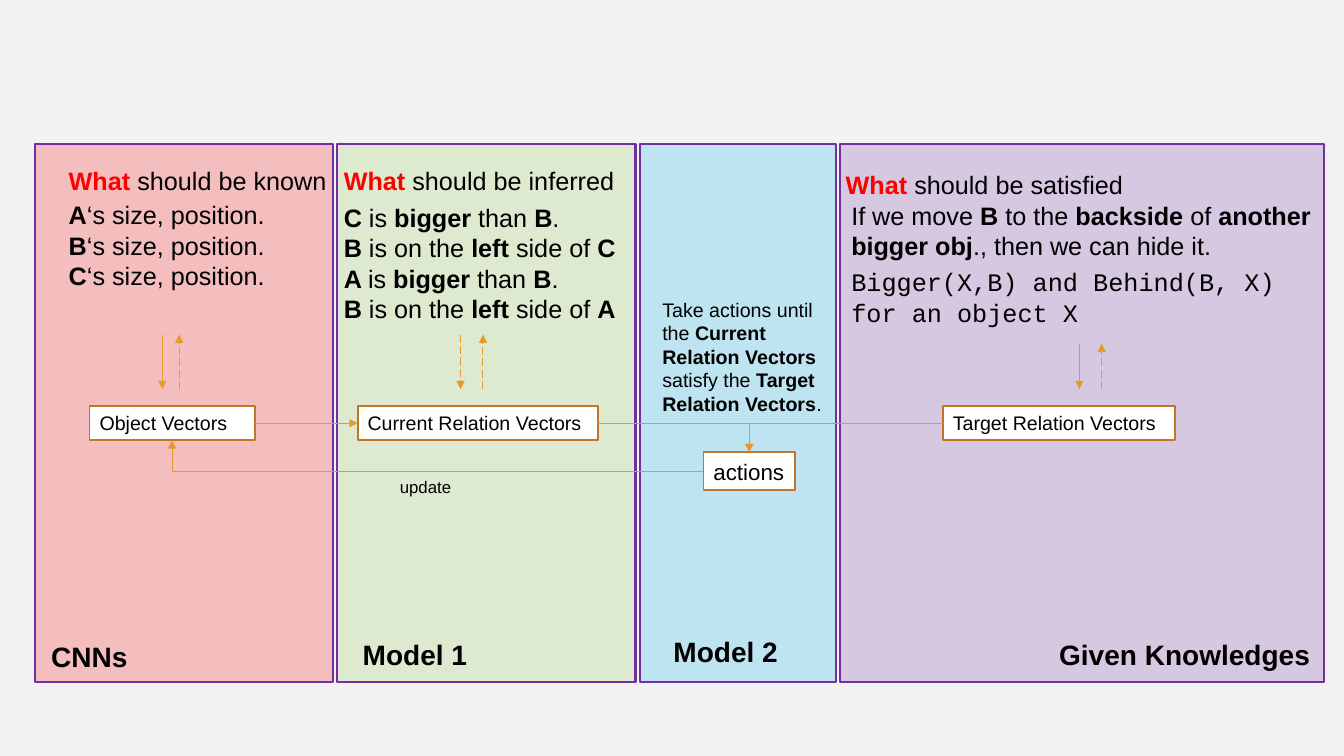
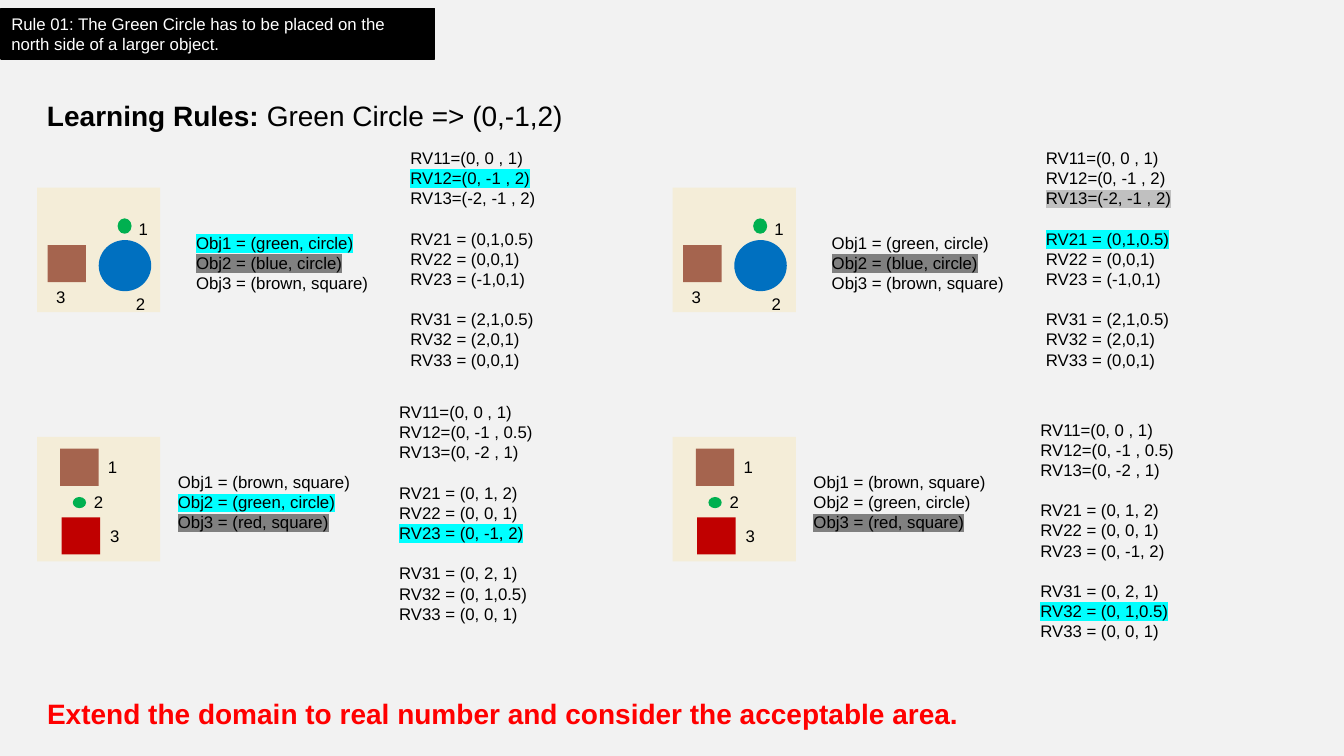
from itertools import product

from lxml import etree
from pptx import Presentation
from pptx.dml.color import RGBColor
from pptx.enum.dml import MSO_LINE
from pptx.enum.shapes import MSO_CONNECTOR, MSO_SHAPE
from pptx.enum.text import MSO_ANCHOR, PP_ALIGN
from pptx.oxml.ns import qn
from pptx.util import Pt

RECTANGLE, ELLIPSE = MSO_SHAPE.RECTANGLE, MSO_SHAPE.OVAL
STRAIGHT, ELBOW = MSO_CONNECTOR.STRAIGHT, MSO_CONNECTOR.ELBOW
LONG_DASH = MSO_LINE.LONG_DASH
LEFT, MIDDLE = PP_ALIGN.LEFT, MSO_ANCHOR.MIDDLE
TOP_SIDE, LEFT_SIDE, BOTTOM_SIDE, RIGHT_SIDE = range(4)

FONT, CODE_FONT = "Arial", "Courier New"
BLACK, WHITE, RED, BACKGROUND = "000000", "FFFFFF", "FF0000", "F2F2F2"
PURPLE, BOX_LINE, ARROW = "7030A0", "C17529", "E59B2C"
TILE, BROWN, BLUE, GREEN, DARK_RED = "F4EDD8", "A5644E", "0070C0", "00B050", "C00000"
CYAN, GRAY, SILVER = "00FFFF", "808080", "C0C0C0"

COLUMN_STEP = 454
GROUP_GAP = 14.4

PANELS = [  # width, colour
    (213, "FF0000"), (213, "92D050"), (140, "00B0F0"), (345.5, "7030A0"),
]
PANEL_NAMES = [  # name, left, top
    ("CNNs", 29.5, 453), ("Model 1", 252, 451.5),
    ("Model 2", 474, 450), ("Given Knowledges", 749.5, 451.5),
]
QUESTIONS = [  # text, left, top, width
    ("*What *should be known", 42, 114.5, 218),
    ("*What *should be inferred", 238.5, 114.5, 240),
    ("*What* should be satisfied", 597, 117.5, 284),
]
ANSWERS = [  # lines, left, top, width, font
    (["*A*‘s size, position.", "*B*‘s size, position.", "*C*‘s size, position."],
     42, 139, 218, FONT),
    (["*C *is* bigger* than *B*.", "*B* is on the *left* side of *C*",
      "*A *is* bigger* than *B*.", "*B* is on the *left* side of *A*"],
     238.5, 141, 252, FONT),
    (["If we move *B* to the *backside* of *another bigger obj*., then we can hide it."],
     601, 139.5, 344, FONT),
    (["Bigger(X,B) and Behind(B, X)", "for an object X"], 601, 187, 344, CODE_FONT),
]
VERTICAL_ARROWS = [  # x, from y, to y, dashed
    (116, 239, 278, False), (128, 278, 239, True),
    (329, 239, 278, True), (345, 278, 239, True),
    (771, 245.5, 278, False), (787, 278, 245.5, True),
]

NORTH_SCENE = {
    "figures": [
        (RECTANGLE, 26.5, 134, 88, 89, TILE),
        (RECTANGLE, 34, 175, 27.5, 26.5, BROWN),
        (ELLIPSE, 70.5, 171.5, 37.5, 36.5, BLUE),
        (ELLIPSE, 84, 156, 10, 11, GREEN),
    ],
    "numbers": [(92, 152.5), (90, 206), (33, 201)],
    "objects": ["(green, circle)", "(blue, circle)", "(brown, square)"],
    "objects_at": (133, 162.5),
    "relations": ["=(0, 0 , 1)", "=(0, -1 , 2)", "=(-2, -1 , 2)",
                  " = (0,1,0.5)", " = (0,0,1)", " = (-1,0,1)",
                  " = (2,1,0.5)", " = (2,0,1)", " = (0,0,1)"],
}
STACK_SCENE = {
    "figures": [
        (RECTANGLE, 26.5, 312, 88, 89, TILE),
        (RECTANGLE, 43, 320.5, 27.5, 26.5, BROWN),
        (RECTANGLE, 44, 369.5, 27.5, 26.5, DARK_RED),
        (ELLIPSE, 52, 355, 9.5, 8, GREEN),
    ],
    "numbers": [(70, 322.5), (60, 348), (71.5, 372)],
    "objects": ["(brown, square)", "(green, circle)", "(red, square)"],
    "objects_at": (120, 333.5),
    "relations": ["=(0, 0 , 1)", "=(0, -1 , 0.5)", "=(0, -2 , 1)",
                  " = (0, 1, 2)", " = (0, 0, 1)", " = (0, -1, 2)",
                  " = (0, 2, 1)", " = (0, 1,0.5)", " = (0, 0, 1)"],
}
EXAMPLES = [  # scene, column, relations place, object marks, relation marks
    (NORTH_SCENE, 0, (286, 102), {0: CYAN, 1: GRAY}, {1: CYAN}),
    (STACK_SCENE, 0, (278, 283.5), {1: CYAN, 2: GRAY}, {5: CYAN}),
    (NORTH_SCENE, 1, (286, 102), {1: GRAY}, {2: SILVER, 3: CYAN}),
    (STACK_SCENE, 1, (282, 296), {2: GRAY}, {7: CYAN}),
]


def rgb(value):
    return RGBColor.from_string(value)


def mark_run(run, color):
    """Put a highlight behind a run whose colour is already set."""
    fill = run.font._element.find(qn("a:solidFill"))
    highlight = etree.Element(qn("a:highlight"))
    etree.SubElement(highlight, qn("a:srgbClr"), val=color)
    fill.addnext(highlight)


def write(shape, lines, size, color=BLACK, bold_color=None, font=FONT,
          marks=None, group=None):
    """Write lines; asterisks switch bold, and each group starts after a gap."""
    frame = shape.text_frame
    frame.word_wrap = True
    for index, line in enumerate(lines):
        paragraph = frame.paragraphs[0] if index == 0 else frame.add_paragraph()
        paragraph.alignment = LEFT
        if group and index and index % group == 0:
            paragraph.space_before = Pt(GROUP_GAP)
        for part, text in enumerate(line.split("*")):
            if not text:
                continue
            bold = part % 2 == 1
            run = paragraph.add_run()
            run.text = text
            run.font.name = font
            run.font.size = Pt(size)
            run.font.bold = bold
            run.font.color.rgb = rgb(bold_color if bold and bold_color else color)
            if marks and index in marks:
                mark_run(run, marks[index])


def add_text(slide, left, top, width, height, lines, size, **style):
    shape = slide.shapes.add_textbox(Pt(left), Pt(top), Pt(width), Pt(height))
    write(shape, lines, size, **style)


def add_figure(slide, kind, left, top, width, height, fill, line=None,
               line_width=1.25, opacity=None):
    shape = slide.shapes.add_shape(kind, Pt(left), Pt(top), Pt(width), Pt(height))
    shape.shadow.inherit = False
    shape.fill.solid()
    shape.fill.fore_color.rgb = rgb(fill)
    if opacity:
        color = shape._element.spPr.find(qn("a:solidFill"))[0]
        etree.SubElement(color, qn("a:alpha"), val=str(opacity * 1000))
    if line:
        shape.line.color.rgb = rgb(line)
        shape.line.width = Pt(line_width)
    else:
        shape.line.fill.background()
    return shape


def add_box(slide, left, top, width, height, text, size,
            fill=WHITE, line=BOX_LINE, color=BLACK):
    shape = add_figure(slide, RECTANGLE, left, top, width, height, fill, line)
    shape.text_frame.vertical_anchor = MIDDLE
    write(shape, [text], size, color)
    return shape


def add_arrow(slide, start=(0, 0), end=(0, 0), kind=STRAIGHT, dashed=False):
    connector = slide.shapes.add_connector(kind, *map(Pt, start + end))
    connector.line.color.rgb = rgb(ARROW)
    connector.line.width = Pt(0.75)
    if dashed:
        connector.line.dash_style = LONG_DASH
    properties = connector._element.spPr
    etree.SubElement(properties.find(qn("a:ln")), qn("a:tailEnd"), type="triangle")
    etree.SubElement(properties, qn("a:effectLst"))
    return connector


def join(slide, source, source_side, target, target_side, kind=ELBOW):
    connector = add_arrow(slide, kind=kind)
    connector.begin_connect(source, source_side)
    connector.end_connect(target, target_side)
    if kind == ELBOW:  # a single corner
        connector._element.spPr.find(qn("a:prstGeom")).set("prst", "bentConnector2")


def build_model_slide(slide):
    # Panels
    left = 25
    for width, color in PANELS:
        add_figure(slide, RECTANGLE, left, 103, width, 384.5, color, PURPLE, 1.5, 21)
        left += width + 3
    for name, left, top in PANEL_NAMES:
        add_text(slide, left, top, 200, 31.5, [f"*{name}*"], 20)

    # Questions and answers
    for text, left, top, width in QUESTIONS:
        add_text(slide, left, top, width, 29, [text], 18, bold_color=RED)
    for lines, left, top, width, font in ANSWERS:
        add_text(slide, left, top, width, 73, lines, 18, font=font)
    add_text(slide, 466, 209, 134, 92,
             ["Take actions until the *Current Relation Vectors* satisfy the "
              "*Target Relation Vectors*."], 14)

    # Vector boxes and the update loop
    objects = add_box(slide, 64, 290, 118, 24.5, "Object Vectors", 14)
    current = add_box(slide, 255.5, 290, 171.5, 24.5, "Current Relation Vectors", 14)
    target = add_box(slide, 673.5, 290, 166, 24.5, "Target Relation Vectors", 14)
    actions = add_box(slide, 502.5, 323, 65.5, 27, "actions", 16)
    join(slide, objects, RIGHT_SIDE, current, LEFT_SIDE, STRAIGHT)
    join(slide, current, RIGHT_SIDE, actions, TOP_SIDE)
    join(slide, target, LEFT_SIDE, actions, TOP_SIDE)
    join(slide, actions, LEFT_SIDE, objects, BOTTOM_SIDE)
    add_text(slide, 278.5, 337, 65.5, 21.5, ["update"], 12)
    for x, start, end, dashed in VERTICAL_ARROWS:
        add_arrow(slide, (x, start), (x, end), dashed=dashed)


def add_example(slide, scene, column, relations_at, object_marks, relation_marks):
    shift = column * COLUMN_STEP
    for kind, left, top, width, height, color in scene["figures"]:
        add_figure(slide, kind, left + shift, top, width, height, color)
    for number, (left, top) in enumerate(scene["numbers"], 1):
        add_text(slide, left + shift, top, 26.5, 21.5, [str(number)], 12)

    objects = [f"Obj{number} = {value}"
               for number, value in enumerate(scene["objects"], 1)]
    left, top = scene["objects_at"]
    add_text(slide, left + shift, top, 150.5, 51, objects, 12, marks=object_marks)

    pairs = product((1, 2, 3), repeat=2)
    relations = [f"RV{first}{second}{value}"
                 for (first, second), value in zip(pairs, scene["relations"])]
    left, top = relations_at
    add_text(slide, left + shift, top, 127.5, 196.5, relations, 12,
             marks=relation_marks, group=3)


def build_rules_slide(slide):
    # Rule and heading
    add_box(slide, 1, 6, 309.5, 36,
            "Rule 01: The Green Circle has to be placed on the north side of a "
            "larger object.", 12, BLACK, BLACK, WHITE)
    add_text(slide, 26.5, 67, 473, 31.5,
             ["*Learning Rules: *Green Circle => (0,-1,2)"], 20)

    # Examples
    for example in EXAMPLES:
        add_example(slide, *example)

    # Conclusion
    add_text(slide, 26.5, 494, 718, 31.5,
             ["*Extend the domain to real number and consider the acceptable area.*"],
             20, bold_color=RED)


def main():
    presentation = Presentation()
    presentation.slide_width, presentation.slide_height = Pt(960), Pt(540)
    background = presentation.slide_master.background.fill
    background.solid()
    background.fore_color.rgb = rgb(BACKGROUND)
    blank = presentation.slide_layouts[6]
    for build in (build_model_slide, build_rules_slide):
        build(presentation.slides.add_slide(blank))
    presentation.save("out.pptx")


if __name__ == "__main__":
    main()
